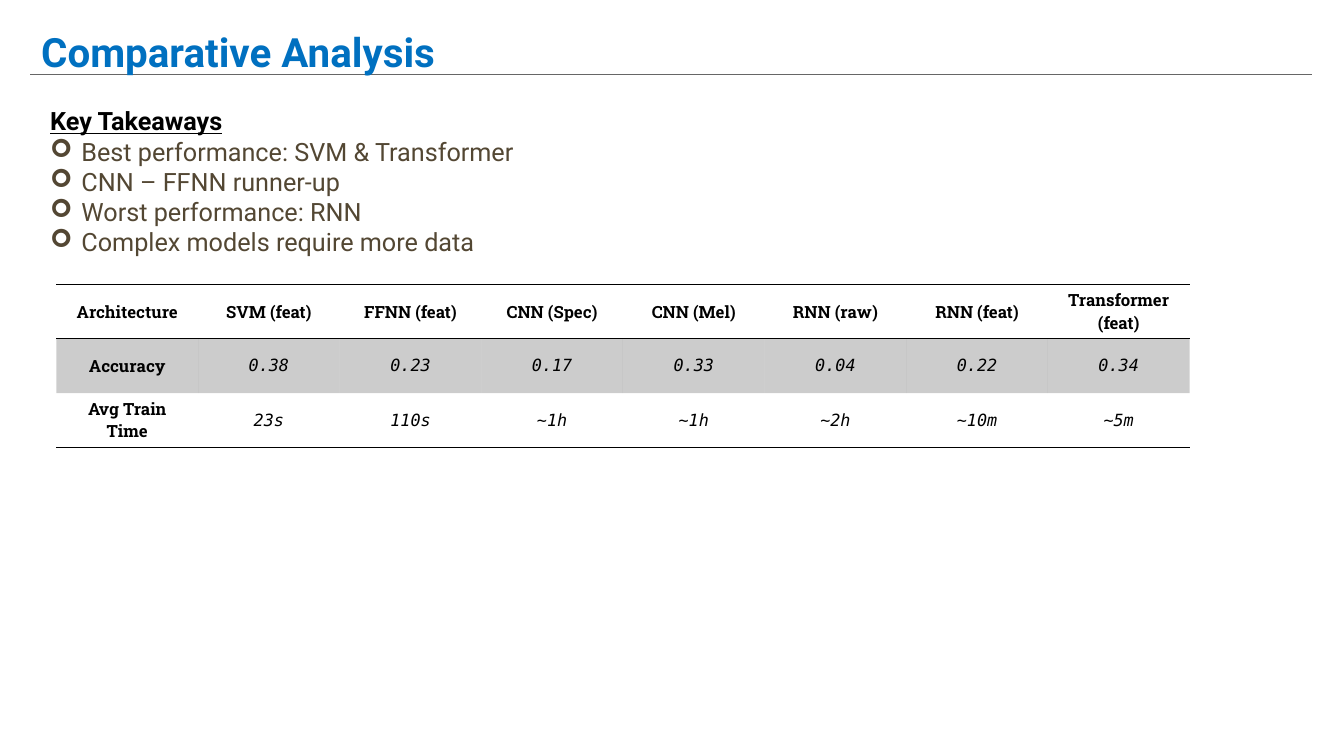
"""Build the Comparative Analysis slide."""
import dataclasses
import typing

import pptx
import pptx.dml.color
import pptx.enum.shapes
import pptx.enum.text
import pptx.oxml
import pptx.oxml.ns
import pptx.oxml.xmlchemy
import pptx.util

PX = 9144
HUES = {
    "title": "0070C0",
    "rule": "666666",
    "ink": "000000",
    "body": "534733",
}
ALIGN = pptx.enum.text.PP_ALIGN
MID = pptx.enum.text.MSO_ANCHOR.MIDDLE
TOP = pptx.enum.text.MSO_ANCHOR.TOP


@dataclasses.dataclass(frozen=True)
class Style:
    font: str
    size: float
    hue: str
    bold: bool = False
    slant: bool = False
    under: bool = False


@dataclasses.dataclass(frozen=True)
class Line:
    text: str
    style: Style
    align: typing.Any
    mark: str = ""
    pitch: float = 1.0


@dataclasses.dataclass(frozen=True)
class Box:
    left: int
    top: int
    width: int
    height: int
    anchor: typing.Any
    lines: list[Line]


TITLE = Style("Roboto", 28.8, "title", bold=True)
LEAD = Style("Roboto", 18, "ink", bold=True, under=True)
POINT = Style("Roboto", 18, "body")
HEAD = Style("Roboto Slab", 12, "ink", bold=True)
VALUE = Style("DejaVu Sans Mono", 12, "ink", slant=True)

POINTS = [
    "Best performance: SVM & Transformer",
    "CNN – FFNN runner-up",
    "Worst performance: RNN",
    "Complex models require more data",
]
BOXES = [
    Box(31, 33, 1250, 48, MID,
        [Line("Comparative Analysis", TITLE, ALIGN.LEFT, pitch=0.7)]),
    Box(40, 100, 616, 162, TOP,
        [Line("Key Takeaways", LEAD, ALIGN.JUSTIFY)]
        + [Line(text, POINT, ALIGN.JUSTIFY, "➢") for text in POINTS]),
]
ROWS = [
    ["Architecture", "SVM (feat)", "FFNN (feat)", "CNN (Spec)",
     "CNN (Mel)", "RNN (raw)", "RNN (feat)", "Transformer (feat)"],
    ["Accuracy", "0.38", "0.23", "0.17", "0.33", "0.04", "0.22", "0.34"],
    ["Avg Train Time", "23s", "110s", "~1h", "~1h", "~2h", "~10m", "~5m"],
]
EDGES = ["TB", "T", "B"]


def color(name: str) -> pptx.dml.color.RGBColor:
    return pptx.dml.color.RGBColor.from_string(HUES[name])


def node(tag: str, **attrs: str) -> typing.Any:
    item = pptx.oxml.xmlchemy.OxmlElement(tag)
    for key, value in attrs.items():
        item.set(key, value)
    return item


def write(frame: typing.Any, lines: list[Line]) -> None:
    for i, line in enumerate(lines):
        para = frame.add_paragraph() if i else frame.paragraphs[0]
        para.alignment = line.align
        para.line_spacing = line.pitch
        if line.mark:
            props = para._p.get_or_add_pPr()
            props.set("marL", str(31 * PX))
            props.set("indent", str(-31 * PX))
            props.append(node("a:buFont", typeface="Wingdings"))
            props.append(node("a:buChar", char=line.mark))
        run = para.add_run()
        run.text = line.text
        font, style = run.font, line.style
        font.name = style.font
        font.size = pptx.util.Pt(style.size)
        font.bold = style.bold
        font.italic = style.slant
        font.underline = style.under
        font.color.rgb = color(style.hue)


def add_box(slide: typing.Any, box: Box) -> None:
    shape = slide.shapes.add_textbox(
        box.left * PX, box.top * PX, box.width * PX, box.height * PX)
    frame = shape.text_frame
    frame.word_wrap = True
    frame.vertical_anchor = box.anchor
    write(frame, box.lines)


def add_rule(slide: typing.Any) -> None:
    rule = slide.shapes.add_connector(
        pptx.enum.shapes.MSO_CONNECTOR.STRAIGHT,
        30 * PX, 74 * PX, 1301 * PX, 74 * PX)
    rule.line.color.rgb = color("rule")
    rule.line.width = pptx.util.Pt(0.75)
    rule._element.spPr.append(node("a:effectLst"))


def add_edges(cell: typing.Any, drawn: str) -> None:
    props = cell._tc.get_or_add_tcPr()
    for i, side in enumerate("LRTB"):
        edge = node(f"a:ln{side}", w="12700")
        if side in drawn:
            fill = node("a:solidFill")
            fill.append(node("a:srgbClr", val=HUES["ink"]))
        else:
            fill = node("a:noFill")
        edge.append(fill)
        props.insert(i, edge)


def add_grid(slide: typing.Any) -> None:
    table = slide.shapes.add_table(
        len(ROWS), len(ROWS[0]), 56 * PX, 282 * PX, 1124 * PX, 162 * PX).table
    table.first_row = False
    table.horz_banding = False
    for r, texts in enumerate(ROWS):
        for c, text in enumerate(texts):
            cell = table.cell(r, c)
            cell.vertical_anchor = MID
            style = VALUE if r and c else HEAD
            write(cell.text_frame, [Line(text, style, ALIGN.CENTER)])
            if r == 1:
                cell.fill.solid()
                cell.fill.fore_color.rgb = color("ink")
                tint = cell._tc.tcPr.find(".//" + pptx.oxml.ns.qn("a:srgbClr"))
                tint.append(node("a:alpha", val="20000"))
            else:
                cell.fill.background()
            add_edges(cell, EDGES[r])


def main() -> None:
    deck = pptx.Presentation()
    deck.slide_width = 1333 * PX
    deck.slide_height = 750 * PX
    slide = deck.slides.add_slide(deck.slide_layouts[6])
    add_rule(slide)
    for box in BOXES:
        add_box(slide, box)
    add_grid(slide)
    deck.save("out.pptx")


if __name__ == "__main__":
    main()
